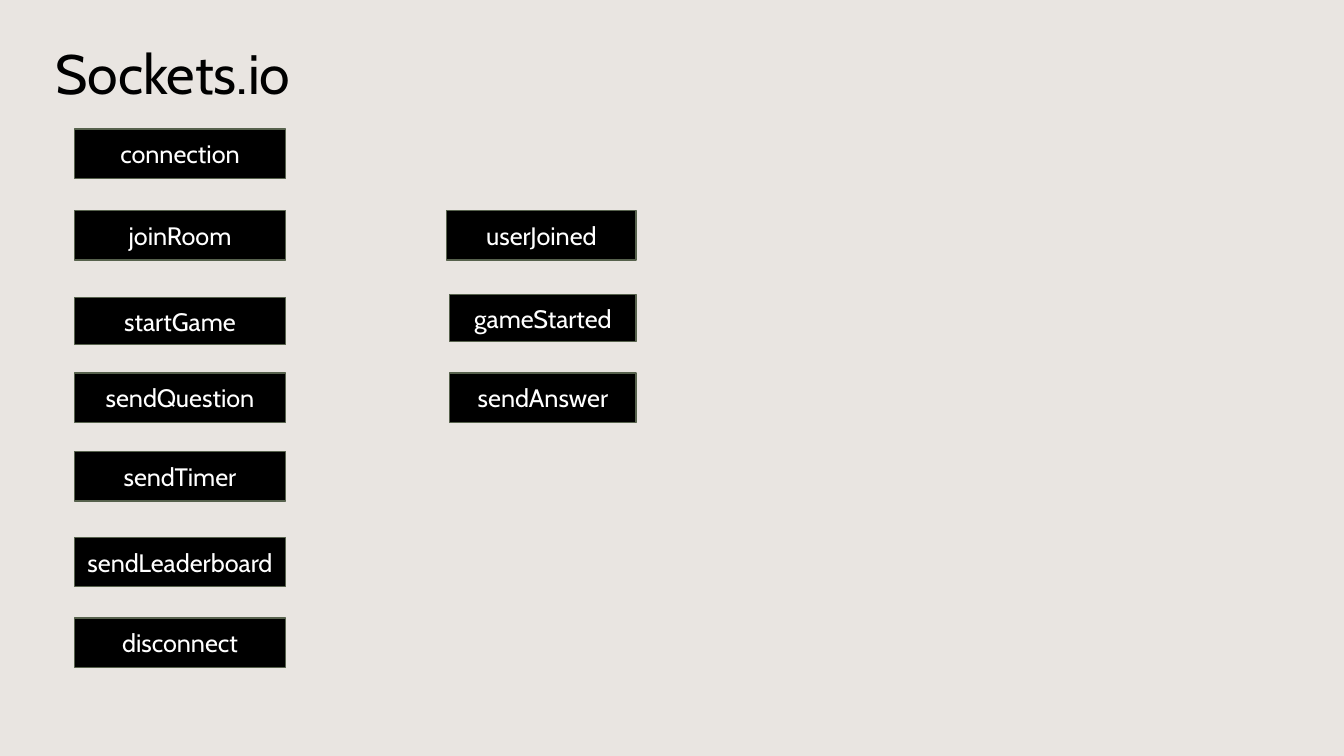
"""Build the slide that lists the Sockets.io events."""
from dataclasses import dataclass

from pptx import Presentation
from pptx.dml.color import RGBColor
from pptx.enum.shapes import MSO_SHAPE
from pptx.enum.text import MSO_ANCHOR, PP_ALIGN
from pptx.util import Inches, Pt

RECTANGLE = MSO_SHAPE.RECTANGLE
MIDDLE = MSO_ANCHOR.MIDDLE
LEFT, CENTER = PP_ALIGN.LEFT, PP_ALIGN.CENTER

COLORS = {
    "background": "E9E5E1",
    "title": "000000",
    "box": "000000",
    "border": "57624D",
    "label": "FFFFFF",
}
FONT = "Cabin"


@dataclass(frozen=True)
class EventBox:
    label: str
    top: float
    left: float = 0.74
    width: float = 2.09
    height: float = 0.49


EVENTS = [
    EventBox("connection", 1.28),
    EventBox("joinRoom", 2.09),
    EventBox("startGame", 2.95, height=0.47),
    EventBox("sendQuestion", 3.7),
    EventBox("sendTimer", 4.48),
    EventBox("sendLeaderboard", 5.33),
    EventBox("disconnect", 6.13),
    EventBox("userJoined", 2.09, left=4.43, width=1.88),
    EventBox("gameStarted", 2.92, left=4.46, width=1.85, height=0.47),
    EventBox("sendAnswer", 3.7, left=4.46, width=1.85),
]


def color(name: str) -> RGBColor:
    return RGBColor.from_string(COLORS[name])


def write_text(shape, text: str, size: float, color_name: str, alignment) -> None:
    frame = shape.text_frame
    for name, value in {"word_wrap": True, "vertical_anchor": MIDDLE}.items():
        setattr(frame, name, value)
    paragraph = frame.paragraphs[0]
    paragraph.alignment = alignment
    run = paragraph.add_run()
    run.text = text
    for name, value in {"name": FONT, "size": Pt(size)}.items():
        setattr(run.font, name, value)
    run.font.color.rgb = color(color_name)


def draw_event(slide, event: EventBox) -> None:
    shape = slide.shapes.add_shape(
        RECTANGLE,
        Inches(event.left), Inches(event.top),
        Inches(event.width), Inches(event.height),
    )
    shape.shadow.inherit = False
    shape.fill.solid()
    shape.fill.fore_color.rgb = color("box")
    shape.line.color.rgb = color("border")
    shape.line.width = Pt(1)
    write_text(shape, event.label, 18, "label", CENTER)


def main() -> None:
    presentation = Presentation()
    presentation.slide_width = Inches(13.33)
    presentation.slide_height = Inches(7.5)
    slide = presentation.slides.add_slide(presentation.slide_layouts[6])
    slide.background.fill.solid()
    slide.background.fill.fore_color.rgb = color("background")

    title = slide.shapes.add_textbox(
        Inches(0.45), Inches(0.36), Inches(2.66), Inches(0.71)
    )
    write_text(title, "Sockets.io", 39.6, "title", LEFT)
    for event in EVENTS:
        draw_event(slide, event)

    presentation.save("out.pptx")


if __name__ == "__main__":
    main()
